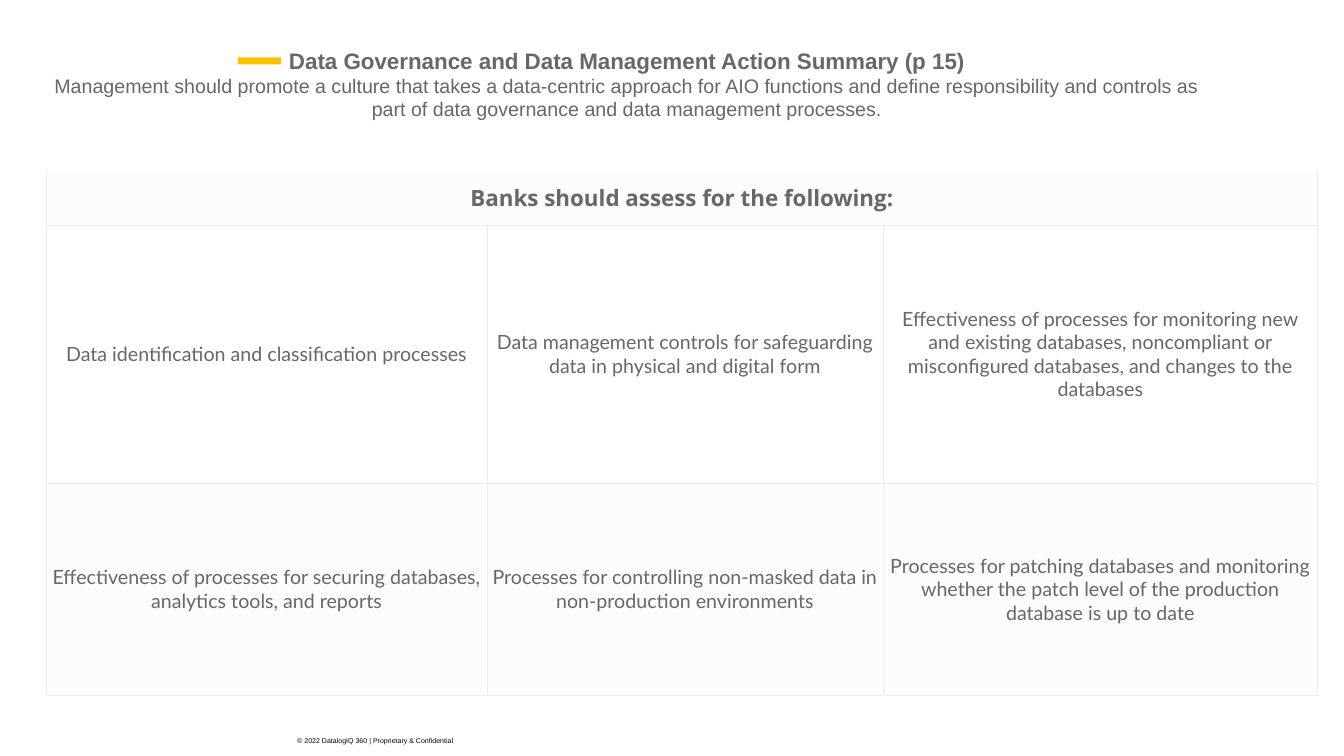
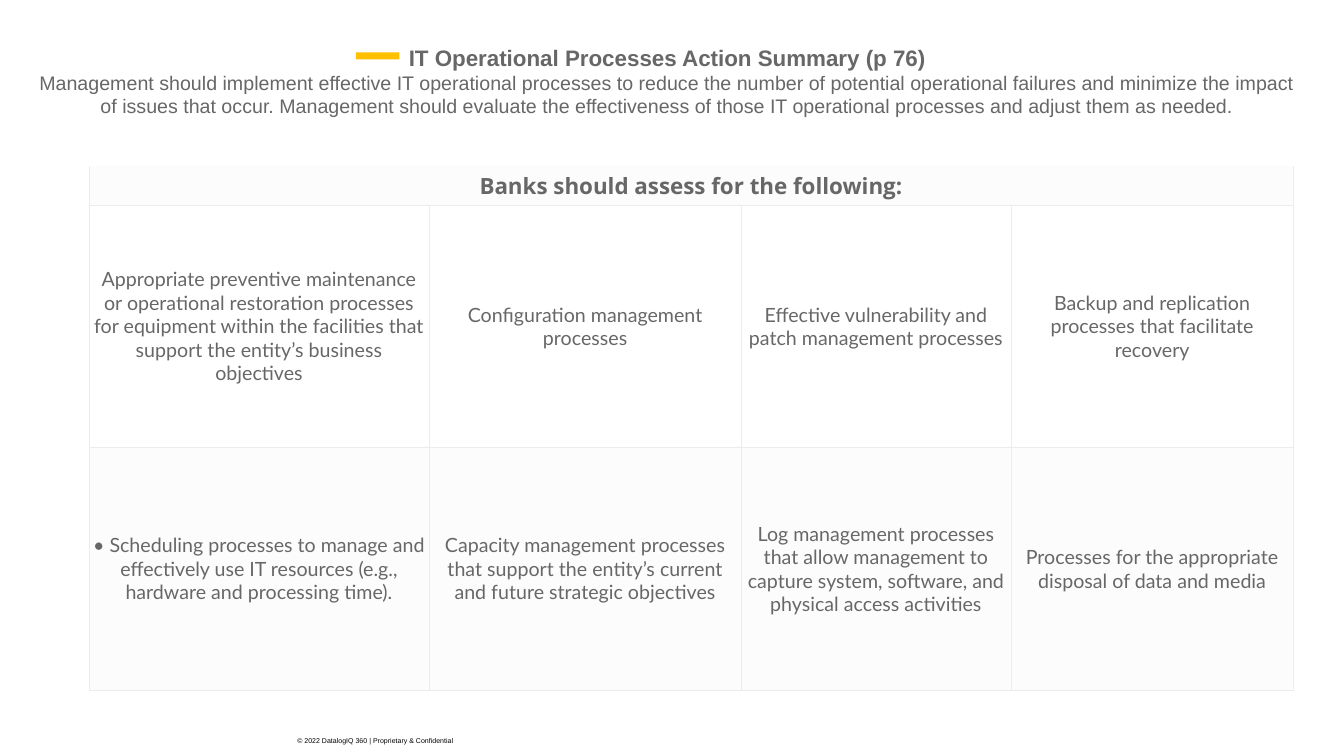
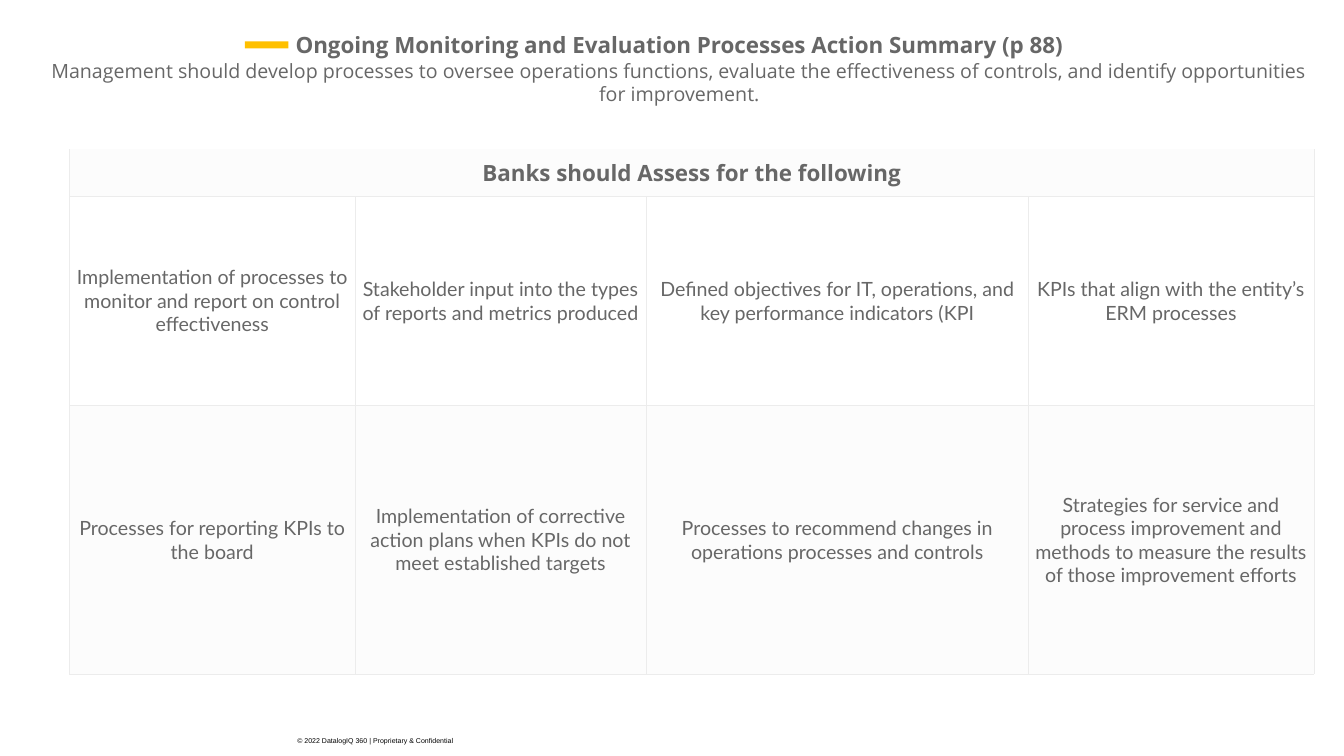
from dataclasses import dataclass

from lxml.etree import SubElement
from pptx import Presentation
from pptx.dml.color import RGBColor
from pptx.enum.shapes import MSO_SHAPE
from pptx.enum.text import MSO_ANCHOR, MSO_AUTO_SIZE, PP_ALIGN
from pptx.oxml.ns import qn
from pptx.util import Inches, Pt

SLIDE_WIDTH, SLIDE_HEIGHT = Inches(13.33), Inches(7.5)
GREY, BLACK, WHITE = "676767", "000000", "FFFFFF"
BAND, RULE, AMBER = "FCFCFC", "ECECEC", "FFC000"
RULE_WIDTH = Pt(0.38)
COPYRIGHT = "© 2022 DatalogIQ 360 | Proprietary & Confidential"


@dataclass(frozen=True)
class Box:
    """Position and size in percent of the slide."""
    left: float
    top: float
    width: float
    height: float

    def emu(self) -> tuple[int, int, int, int]:
        return across(self.left), down(self.top), across(self.width), down(self.height)


@dataclass(frozen=True)
class TextStyle:
    size: float
    font: str
    colour: str = GREY
    bold: bool = False


@dataclass(frozen=True)
class Assessment:
    """Table origin, columns and rows in percent of the slide."""
    left: float
    top: float
    columns: tuple[float, ...]
    rows: tuple[float, ...]
    inset: float
    header: str
    items: tuple[tuple[str, ...], ...]


@dataclass(frozen=True)
class ActionSummary:
    title: str
    statement: str
    font: str
    heading: Box
    dash_left: float
    dash_top: float
    assessment: Assessment


FOOTER = Box(21.38, 96.8, 50, 2.53)
FOOTER_STYLE = TextStyle(5, "Arial", BLACK)
HEADER_STYLE = TextStyle(16, "Open Sans", bold=True)
ITEM_STYLE = TextStyle(14, "Lato")

SUMMARIES = (
    ActionSummary(
        "Data Governance and Data Management Action Summary (p 15)",
        "Management should promote a culture that takes a data-centric approach for AIO "
        "functions and define responsibility and controls as part of data governance and "
        "data management processes.",
        "Arial", Box(2.63, 6.13, 88.05, 9.87), 17.7, 7.6,
        Assessment(
            3.45, 22.67, (32.78, 29.48, 32.33), (7.07, 34.13, 28.13), 0.04,
            "Banks should assess for the following:",
            (
                ("Data identification and classification processes",
                 "Data management controls for safeguarding data in physical and digital form",
                 "Effectiveness of processes for monitoring new and existing databases, "
                 "noncompliant or misconfigured databases, and changes to the databases"),
                ("Effectiveness of processes for securing databases, analytics tools, and reports",
                 "Processes for controlling non-masked data in non-production environments",
                 "Processes for patching databases and monitoring whether the patch level of "
                 "the production database is up to date"),
            ),
        ),
    ),
    ActionSummary(
        "IT Operational Processes Action Summary (p 76)",
        "Management should implement effective IT operational processes to reduce the number "
        "of potential operational failures and minimize the impact of issues that occur. "
        "Management should evaluate the effectiveness of those IT operational processes and "
        "adjust them as needed.",
        "Arial", Box(2.18, 5.73, 94.95, 9.87), 26.48, 6.93,
        Assessment(
            6.6, 21.93, (25.35, 23.18, 20.1, 21), (5.2, 32.07, 32.07), 0.03,
            "Banks should assess for the following:",
            (
                ("Appropriate preventive maintenance or operational restoration processes for "
                 "equipment within the facilities that support the entity’s business objectives",
                 "Configuration management processes",
                 "Effective vulnerability and patch management processes",
                 "Backup and replication processes that facilitate recovery"),
                ("• Scheduling processes to manage and effectively use IT resources (e.g., "
                 "hardware and processing time).",
                 "Capacity management processes that support the entity’s current and future "
                 "strategic objectives",
                 "Log management processes that allow management to capture system, software, "
                 "and physical access activities",
                 "Processes for the appropriate disposal of data and media"),
            ),
        ),
    ),
    ActionSummary(
        "Ongoing Monitoring and Evaluation Processes Action Summary (p 88)",
        "Management should develop processes to oversee operations functions, evaluate the "
        "effectiveness of controls, and identify opportunities for improvement.",
        "Open Sans", Box(3.45, 4.13, 94.2, 9.87), 18.23, 5.47,
        Assessment(
            5.18, 19.73, (21.23, 21.68, 28.43, 21.23), (6.27, 27.6, 35.6), 0.03,
            "Banks should Assess for the following",
            (
                ("Implementation of processes to monitor and report on control effectiveness",
                 "Stakeholder input into the types of reports and metrics produced",
                 "Defined objectives for IT, operations, and key performance indicators (KPI",
                 "KPIs that align with the entity’s ERM processes"),
                ("Processes for reporting KPIs to the board",
                 "Implementation of corrective action plans when KPIs do not meet established "
                 "targets",
                 "Processes to recommend changes in operations processes and controls",
                 "Strategies for service and process improvement and methods to measure the "
                 "results of those improvement efforts"),
            ),
        ),
    ),
)


def across(share: float) -> int:
    return round(SLIDE_WIDTH * share / 100)


def down(share: float) -> int:
    return round(SLIDE_HEIGHT * share / 100)


def paint(target, colour: str) -> None:
    target.solid()
    target.fore_color.rgb = RGBColor.from_string(colour)


def write(paragraph, text: str, style: TextStyle, align=PP_ALIGN.CENTER) -> None:
    paragraph.alignment = align
    run = paragraph.add_run()
    run.text = text
    run.font.size = Pt(style.size)
    run.font.name = style.font
    run.font.bold = style.bold
    paint(run.font.fill, style.colour)


def add_heading(slide, summary: ActionSummary) -> None:
    heading = slide.shapes.title
    heading.left, heading.top, heading.width, heading.height = summary.heading.emu()
    paint(heading.fill, WHITE)
    frame = heading.text_frame
    frame.word_wrap = True
    frame.auto_size = MSO_AUTO_SIZE.NONE
    frame.vertical_anchor = MSO_ANCHOR.MIDDLE
    frame.margin_left = frame.margin_right = frame.margin_top = frame.margin_bottom = 0
    write(frame.paragraphs[0], summary.title, TextStyle(16, summary.font, bold=True))
    write(frame.add_paragraph(), summary.statement, TextStyle(14, summary.font))


def add_dash(slide, left: float, top: float) -> None:
    dash = slide.shapes.add_shape(MSO_SHAPE.RECTANGLE, *Box(left, top, 3.23, 0.93).emu())
    dash.shadow.inherit = False
    paint(dash.fill, AMBER)
    dash.line.fill.background()


def rule_cell(cell, open_top: bool) -> None:
    properties = cell._tc.get_or_add_tcPr()
    for position, side in enumerate(("lnL", "lnR", "lnT", "lnB")):
        line = SubElement(properties, qn(f"a:{side}"), w=str(RULE_WIDTH))
        if side == "lnT" and open_top:
            SubElement(line, qn("a:noFill"))
        else:
            SubElement(SubElement(line, qn("a:solidFill")), qn("a:srgbClr"), val=RULE)
        properties.insert(position, line)


def add_assessment(slide, assessment: Assessment) -> None:
    columns, rows = assessment.columns, assessment.rows
    area = Box(assessment.left, assessment.top, sum(columns), sum(rows))
    table = slide.shapes.add_table(len(rows), len(columns), *area.emu()).table
    table.first_row = table.horz_banding = False
    for column, share in zip(table.columns, columns):
        column.width = across(share)
    for row, share in zip(table.rows, rows):
        row.height = down(share)
    table.cell(0, 0).merge(table.cell(0, len(columns) - 1))

    texts = ((assessment.header,), *assessment.items)
    for row_index, row in enumerate(table.rows):
        for column_index, cell in enumerate(row.cells):
            paint(cell.fill, WHITE if row_index % 2 else BAND)
            rule_cell(cell, open_top=row_index == 0)
            cell.vertical_anchor = MSO_ANCHOR.MIDDLE
            cell.margin_left = cell.margin_right = Inches(assessment.inset)
            cell.margin_top = cell.margin_bottom = Inches(assessment.inset)
            if column_index < len(texts[row_index]):
                style = ITEM_STYLE if row_index else HEADER_STYLE
                write(cell.text_frame.paragraphs[0], texts[row_index][column_index], style)


def add_footer(slide) -> None:
    frame = slide.shapes.add_textbox(*FOOTER.emu()).text_frame
    frame.word_wrap = True
    write(frame.paragraphs[0], COPYRIGHT, FOOTER_STYLE, PP_ALIGN.LEFT)


def main() -> None:
    deck = Presentation()
    deck.slide_width, deck.slide_height = SLIDE_WIDTH, SLIDE_HEIGHT
    title_only = deck.slide_layouts[5]
    for summary in SUMMARIES:
        slide = deck.slides.add_slide(title_only)
        add_footer(slide)
        add_assessment(slide, summary.assessment)
        add_heading(slide, summary)
        add_dash(slide, summary.dash_left, summary.dash_top)
    deck.save("out.pptx")


if __name__ == "__main__":
    main()
